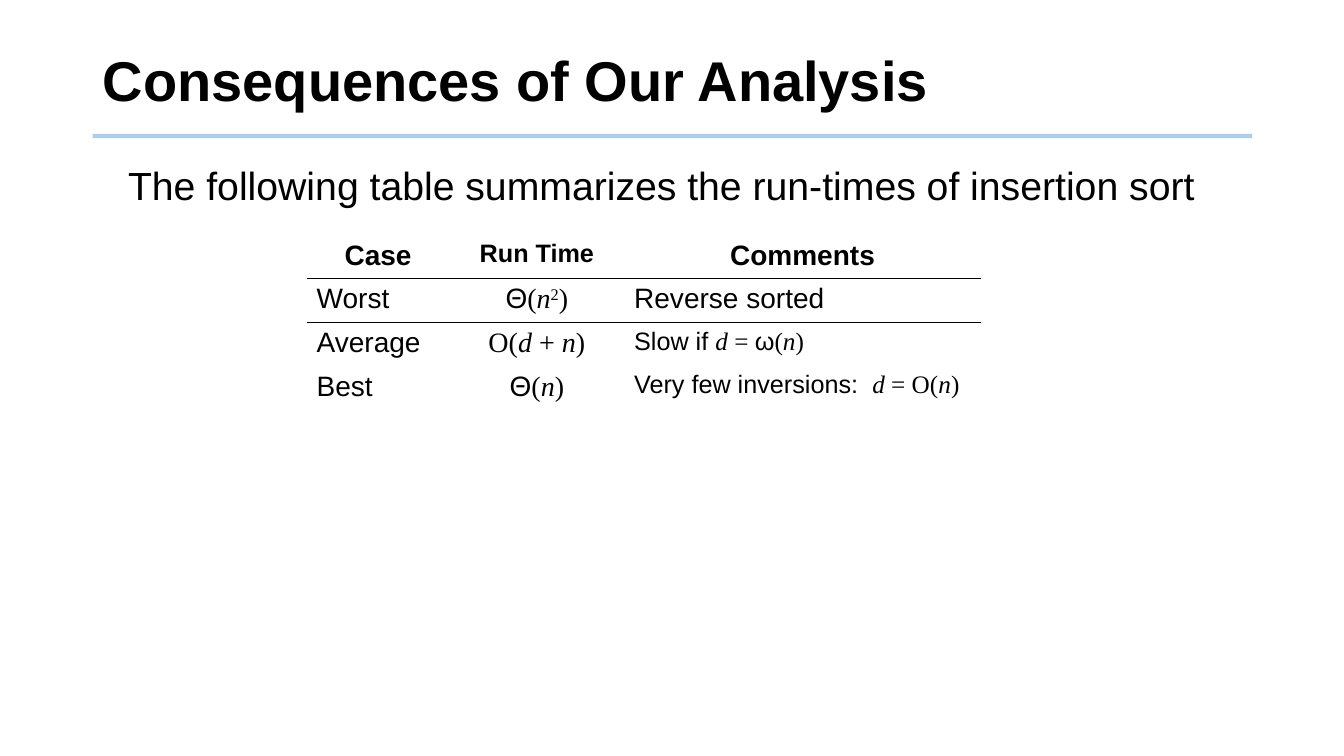
from dataclasses import dataclass

from lxml.etree import SubElement
from pptx import Presentation
from pptx.dml.color import RGBColor
from pptx.enum.shapes import MSO_CONNECTOR
from pptx.enum.text import MSO_ANCHOR, MSO_AUTO_SIZE, PP_ALIGN
from pptx.oxml.ns import qn
from pptx.table import Table, _Cell as Cell
from pptx.text.text import _Paragraph as Paragraph
from pptx.util import Inches, Pt

BLACK = RGBColor(0x00, 0x00, 0x00)
RULE_BLUE = RGBColor(0x5B, 0x9B, 0xD5)
SANS, SERIF = "Arial", "Times New Roman"
PLAIN_TABLE_STYLE = "{2D5ABB26-0587-4C30-8999-92F81FD0307C}"
LEFT, CENTER = PP_ALIGN.LEFT, PP_ALIGN.CENTER
MARGIN, CONTENT_WIDTH = 0.92, 11.5
ROW_HEIGHT = 0.43
COLUMN_WIDTHS = (1.42, 1.73, 3.54)
COLUMN_ALIGNS = (LEFT, CENTER, LEFT)


@dataclass(frozen=True)
class Span:
    text: str
    font: str = SANS
    italic: bool = False
    raised: bool = False


@dataclass(frozen=True)
class Entry:
    spans: tuple[Span, ...]
    size: int = 20


def math(text: str) -> Span:
    return Span(text, SERIF)


def variable(text: str) -> Span:
    return Span(text, SERIF, italic=True)


def label(text: str, size: int = 20) -> Entry:
    return Entry((Span(text),), size)


N, D, CLOSE = variable("n"), variable("d"), math(")")
THETA_OPEN = (Span("Θ"), math("("))

HEADINGS = (label("Case"), label("Run Time", 18), label("Comments"))
CASES = (
    (label("Worst"),
     Entry((*THETA_OPEN, N, Span("2", SERIF, raised=True), CLOSE)),
     label("Reverse sorted")),
    (label("Average"),
     Entry((math("O("), D, math(" + "), N, CLOSE)),
     Entry((Span("Slow if "), D, math(" = "), Span("ω"), math("("), N, CLOSE), 18)),
    (label("Best"),
     Entry((*THETA_OPEN, N, CLOSE)),
     Entry((Span("Very few inversions:  "), D, math(" = O("), N, CLOSE), 18)),
)


def add_text(para: Paragraph, text: str, *, size: int, font: str = SANS,
             bold: bool = False, italic: bool = False, raised: bool = False) -> None:
    run = para.add_run()
    run.text = text
    run.font.name = font
    run.font.size = Pt(size)
    run.font.bold = bold
    run.font.italic = italic
    run.font.color.rgb = BLACK
    if raised:
        run._r.get_or_add_rPr().set("baseline", "30000")


def fill_cell(cell: Cell, entry: Entry, align: PP_ALIGN, bold: bool) -> None:
    para = cell.text_frame.paragraphs[0]
    para.alignment = align
    for span in entry.spans:
        add_text(para, span.text, size=entry.size, font=span.font, bold=bold,
                 italic=span.italic, raised=span.raised)


def draw_border(cell: Cell, side: str) -> None:
    border = SubElement(cell._tc.get_or_add_tcPr(), qn(f"a:{side}"), w=str(Pt(1)))
    fill = SubElement(border, qn("a:solidFill"))
    SubElement(fill, qn("a:srgbClr"), val=str(BLACK))


def fill_table(table: Table) -> None:
    table.first_row = table.horz_banding = False
    table._tbl.tblPr.find(qn("a:tableStyleId")).text = PLAIN_TABLE_STYLE
    for column, width in zip(table.columns, COLUMN_WIDTHS):
        column.width = Inches(width)
    for row_index, entries in enumerate((HEADINGS, *CASES)):
        heading = row_index == 0
        table.rows[row_index].height = Inches(ROW_HEIGHT)
        for column_index, entry in enumerate(entries):
            cell = table.cell(row_index, column_index)
            align = CENTER if heading else COLUMN_ALIGNS[column_index]
            fill_cell(cell, entry, align, heading)
            # The heading row and the first case share one ruled edge
            if row_index < 2:
                draw_border(cell, "lnB" if heading else "lnT")
            cell.fill.background()


def main() -> None:
    deck = Presentation()
    deck.slide_width, deck.slide_height = Inches(13.33), Inches(7.5)
    page = deck.slides.add_slide(deck.slide_layouts[5])

    # Title
    title = page.shapes.title
    title.left, title.top = Inches(MARGIN), Inches(0.28)
    title.width, title.height = Inches(CONTENT_WIDTH), Inches(1.1)
    title.text_frame.auto_size = MSO_AUTO_SIZE.NONE
    title.text_frame.vertical_anchor = MSO_ANCHOR.MIDDLE
    para = title.text_frame.paragraphs[0]
    para.alignment, para.line_spacing = LEFT, 0.9
    add_text(para, "Consequences of Our Analysis", size=40, bold=True)

    # Rule under the title
    rule = page.shapes.add_connector(
        MSO_CONNECTOR.STRAIGHT, Inches(MARGIN), Inches(1.35),
        Inches(MARGIN + CONTENT_WIDTH), Inches(1.35))
    rule.line.color.rgb = RULE_BLUE
    rule.line.width = Pt(3)
    colour = rule._element.spPr.find(f".//{qn('a:srgbClr')}")
    SubElement(colour, qn("a:alpha"), val="50000")
    SubElement(rule._element.spPr, qn("a:effectLst"))

    # Introduction
    box = page.shapes.add_textbox(
        Inches(MARGIN), Inches(1.6), Inches(CONTENT_WIDTH), Inches(5.15))
    box.text_frame.word_wrap = True
    box.text_frame.margin_left = Inches(0.35)
    para = box.text_frame.paragraphs[0]
    para.line_spacing = 0.9
    add_text(para, "The following table summarizes the run-times of insertion sort", size=28)

    # Run-time table
    row_count = len(CASES) + 1
    frame = page.shapes.add_table(
        row_count, len(COLUMN_WIDTHS), Inches(3.04), Inches(2.33),
        Inches(sum(COLUMN_WIDTHS)), Inches(row_count * ROW_HEIGHT))
    fill_table(frame.table)

    deck.save("out.pptx")


if __name__ == "__main__":
    main()
